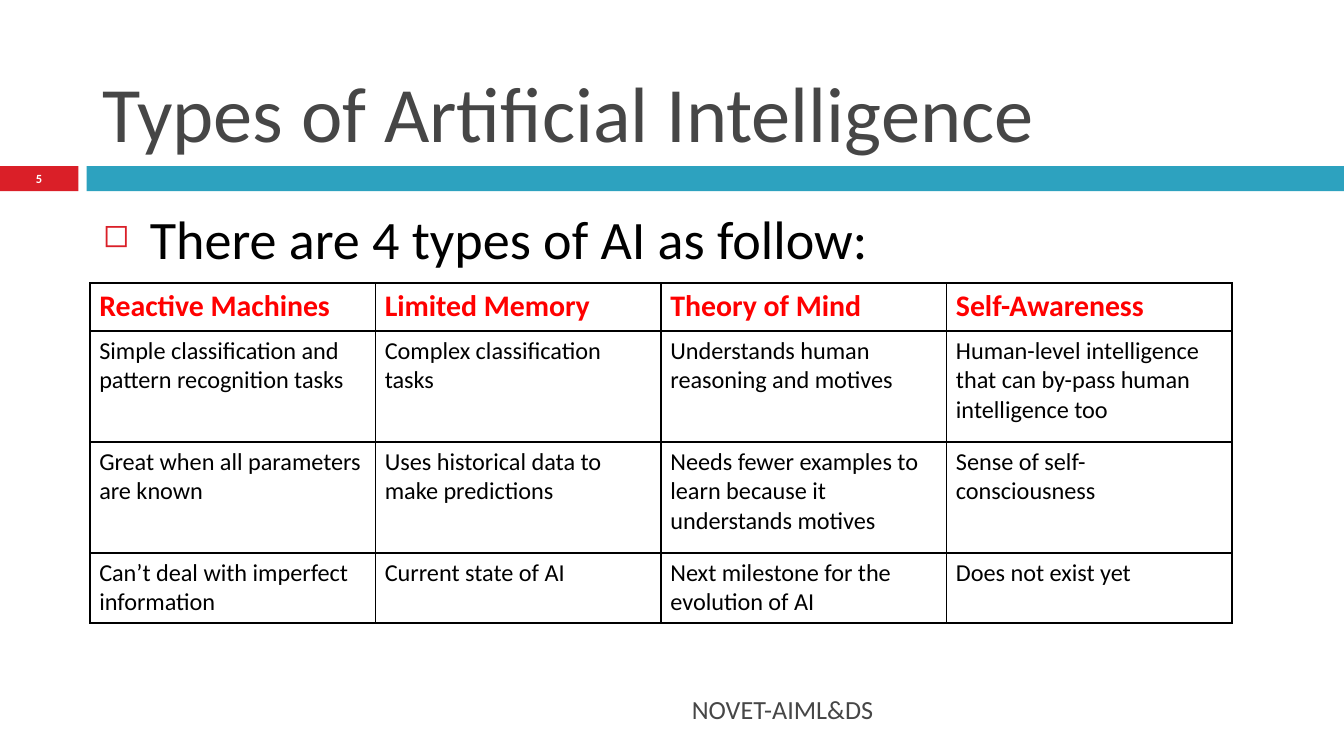
from dataclasses import dataclass

from lxml.etree import SubElement
from pptx import Presentation
from pptx.dml.color import RGBColor
from pptx.enum.shapes import MSO_SHAPE
from pptx.enum.text import MSO_ANCHOR, PP_ALIGN
from pptx.oxml.ns import qn
from pptx.util import Pt


@dataclass(frozen=True)
class Theme:
    """Colours, font and type sizes of the slide."""
    font: str = "Calibri"
    red: str = "DA1F28"
    teal: str = "2DA2BF"
    grey: str = "464646"
    black: str = "000000"
    white: str = "FFFFFF"
    heading: str = "FF0000"
    title_size: float = 42
    lead_size: float = 29
    heading_size: float = 16
    cell_size: float = 13
    footer_size: float = 14
    number_size: float = 6.7


THEME = Theme()
AI_TYPES = [
    ["Reactive Machines", "Limited Memory", "Theory of Mind", "Self-Awareness"],
    ["Simple classification and pattern recognition tasks",
     "Complex classification tasks",
     "Understands human reasoning and motives",
     "Human-level intelligence that can by-pass human intelligence too"],
    ["Great when all parameters are known",
     "Uses historical data to make predictions",
     "Needs fewer examples to learn because it understands motives",
     "Sense of self-consciousness"],
    ["Can’t deal with imperfect information", "Current state of AI",
     "Next milestone for the evolution of AI", "Does not exist yet"],
]
COLUMN_WIDTH = 153
ROW_HEIGHTS = [25.8, 59.5, 59.5, 37.5]


def style_paragraph(paragraph, size, color, bold=False):
    """Set the font of a whole paragraph."""
    paragraph.font.name = THEME.font
    paragraph.font.size = Pt(size)
    paragraph.font.bold = bold
    paragraph.font.color.rgb = RGBColor.from_string(color)


def add_band(slide, left, width, color):
    """Draw one part of the band under the title."""
    band = slide.shapes.add_shape(
        MSO_SHAPE.RECTANGLE, Pt(left), Pt(89), Pt(width), Pt(13.5))
    band.shadow.inherit = False
    band.fill.solid()
    band.fill.fore_color.rgb = RGBColor.from_string(color)
    band.line.fill.background()


def add_text(slide, box, text, size, color, anchor=MSO_ANCHOR.TOP,
             align=PP_ALIGN.LEFT, bold=False):
    """Add a one-paragraph text box and return its paragraph."""
    frame = slide.shapes.add_textbox(*map(Pt, box)).text_frame
    frame.word_wrap = True
    frame.vertical_anchor = anchor
    paragraph = frame.paragraphs[0]
    paragraph.text = text
    paragraph.alignment = align
    style_paragraph(paragraph, size, color, bold)
    return paragraph


def add_bullet(paragraph, indent):
    """Give a paragraph a small hollow square and a hanging indent."""
    props = paragraph._p.get_or_add_pPr()
    props.set("marL", str(Pt(indent)))
    props.set("indent", str(-Pt(indent)))
    color = SubElement(props, qn("a:buClr"))
    SubElement(color, qn("a:srgbClr"), val=THEME.red)
    size = SubElement(props, qn("a:buSzPct"), val="60000")
    mark = SubElement(props, qn("a:buChar"), char="◻")
    font = props.find(qn("a:defRPr"))
    for part in (color, size, mark):
        font.addprevious(part)


def add_borders(cell):
    """Draw a thin line on all four sides of a cell."""
    props = cell._tc.get_or_add_tcPr()
    for side in ("lnL", "lnR", "lnT", "lnB"):
        line = SubElement(props, qn(f"a:{side}"), w=str(Pt(1)))
        fill = SubElement(line, qn("a:solidFill"))
        SubElement(fill, qn("a:srgbClr"), val=THEME.black)


def fill_cell(cell, text, is_heading):
    """Write and format one table cell."""
    cell.margin_left = cell.margin_right = Pt(5)
    cell.margin_top = cell.margin_bottom = Pt(2.7)
    add_borders(cell)
    cell.fill.background()
    cell.text = text
    size = THEME.heading_size if is_heading else THEME.cell_size
    color = THEME.heading if is_heading else THEME.black
    style_paragraph(cell.text_frame.paragraphs[0], size, color, is_heading)


def add_types_table(slide):
    """Add the comparison of the AI types."""
    columns = len(AI_TYPES[0])
    table = slide.shapes.add_table(
        len(AI_TYPES), columns, Pt(48.2), Pt(151.5),
        Pt(columns * COLUMN_WIDTH), Pt(sum(ROW_HEIGHTS))).table
    table.first_row = table.horz_banding = False
    for column in table.columns:
        column.width = Pt(COLUMN_WIDTH)
    for index, (height, texts) in enumerate(zip(ROW_HEIGHTS, AI_TYPES)):
        table.rows[index].height = Pt(height)
        for cell, text in zip(table.rows[index].cells, texts):
            fill_cell(cell, text, index == 0)


def main():
    """Build and save the slide."""
    deck = Presentation()
    deck.slide_width, deck.slide_height = Pt(720), Pt(405)
    slide = deck.slides.add_slide(deck.slide_layouts[6])
    add_band(slide, 0, 42, THEME.red)
    add_band(slide, 46.5, 673.5, THEME.teal)
    add_text(slide, (48, 9.5, 642, 79), "Types of Artificial Intelligence",
             THEME.title_size, THEME.grey, MSO_ANCHOR.BOTTOM)
    add_text(slide, (48, 369, 427, 21.6), "NOVET-AIML&DS",
             THEME.footer_size, THEME.grey, MSO_ANCHOR.MIDDLE, PP_ALIGN.RIGHT)
    lead = add_text(slide, (48, 106.5, 642, 258),
                    "There are 4 types of AI as follow:",
                    THEME.lead_size, THEME.black)
    add_bullet(lead, 25.2)
    lead.space_before = Pt(7)
    add_types_table(slide)
    add_text(slide, (0, 88.6, 42, 14.4), "5", THEME.number_size, THEME.white,
             MSO_ANCHOR.MIDDLE, PP_ALIGN.CENTER, True)
    deck.save("out.pptx")


if __name__ == "__main__":
    main()
